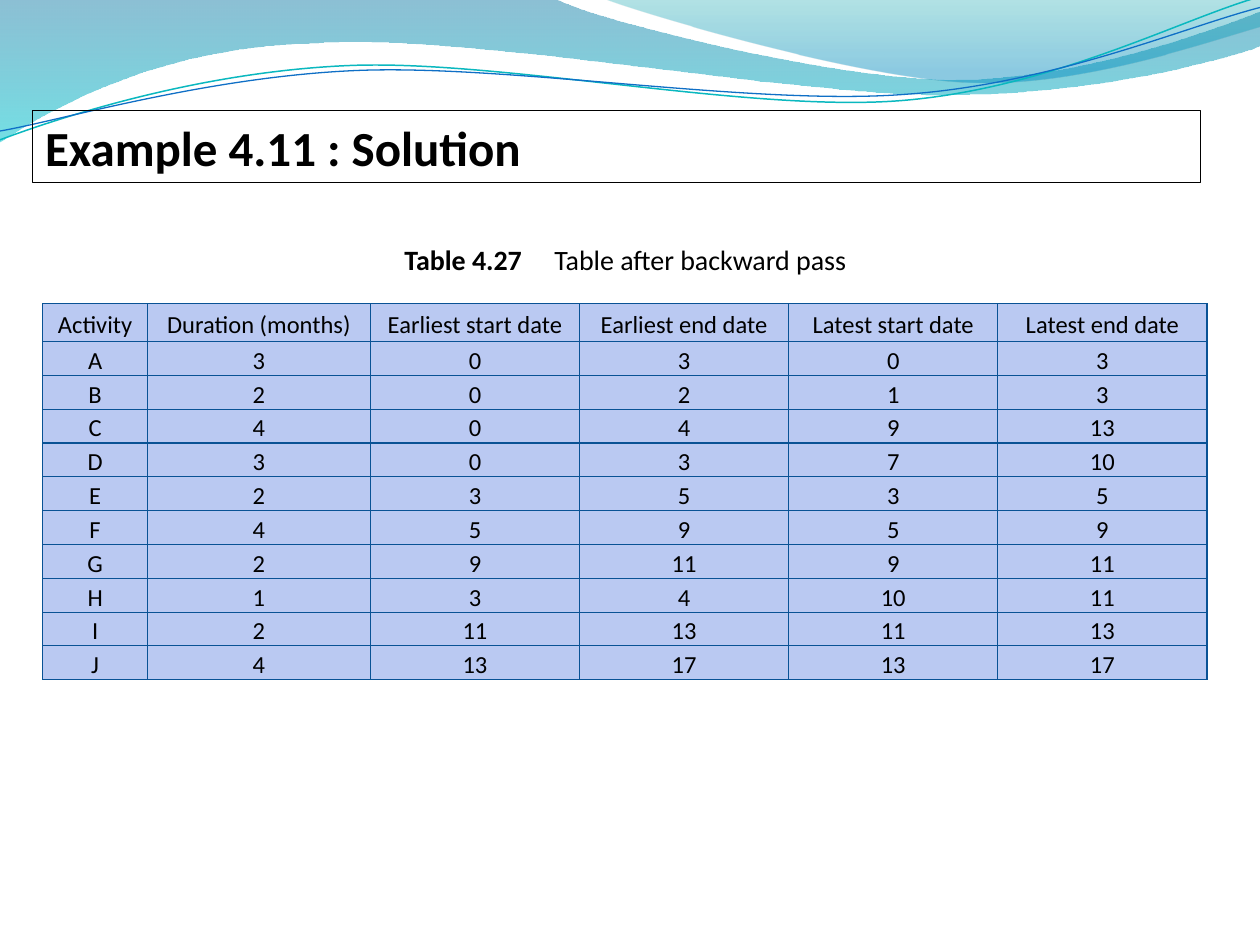
import math

from lxml import etree
from pptx import Presentation
from pptx import util as u
from pptx.dml.color import RGBColor
from pptx.enum import shapes, text
from pptx.oxml import ns

BLACK = RGBColor(0x00, 0x00, 0x00)
CELL_FILL = RGBColor(0xBA, 0xC9, 0xF2)
BORDER = RGBColor(0x09, 0x52, 0x95)
DEEP_BLUE = RGBColor(0x00, 0x74, 0xA1)
CYAN = RGBColor(0x00, 0xC6, 0xCF)
TEAL = RGBColor(0x00, 0xA1, 0xA9)
SKY = RGBColor(0x00, 0x8B, 0xBF)
TEAL_LINE = RGBColor(0x0A, 0xB8, 0xBF)
BLUE_LINE = RGBColor(0x0F, 0x6F, 0xC6)

FONT = "Calibri"
TILT = 357.3
COLUMNS = [0.83, 1.77] + [1.66] * 4
HEADER_HEIGHT, TABLE_HEIGHT = 0.3, 2.98
ROWS = [
    ("Activity", "Duration (months)", "Earliest start date",
     "Earliest end date", "Latest start date", "Latest end date"),
    ("A", 3, 0, 3, 0, 3),
    ("B", 2, 0, 2, 1, 3),
    ("C", 4, 0, 4, 9, 13),
    ("D", 3, 0, 3, 7, 10),
    ("E", 2, 3, 5, 3, 5),
    ("F", 4, 5, 9, 5, 9),
    ("G", 2, 9, 11, 9, 11),
    ("H", 1, 3, 4, 10, 11),
    ("I", 2, 11, 13, 11, 13),
    ("J", 4, 13, 17, 13, 17),
]

BAND = [[(0, 0)], [(4.4, -0.01)],
        [(4.76, 0.17), (6.64, 0.63), (7.58, 0.63)],
        [(8.53, 0.63), (9.58, 0.26), (10, 0.09)],
        [(10.01, 0.36)],
        [(9.83, 0.44), (8.7, 0.76), (7.46, 0.75)],
        [(6.22, 0.75), (3.82, 0.28), (2.57, 0.34)],
        [(1.29, 0.36), (0.46, 0.83), (-0.01, 1.13)],
        [(0, 0)]]
CORNER = [[(4.79, -0.01)],
          [(5.09, 0.11), (6.82, 0.62), (7.69, 0.65)],
          [(8.56, 0.69), (9.61, 0.32), (10, 0.21)],
          [(10, 0)], [(4.79, -0.01)]]
TEAL_CURVE = [[(0, 1.11)],
              [(0.48, 0.93), (1.58, 0.57), (2.77, 0.52)],
              [(3.95, 0.47), (5.93, 0.89), (7.13, 0.8)],
              [(8.33, 0.71), (9.38, 0.15), (9.98, -0.02)]]
BLUE_CURVE = [[(0, 1.04)],
              [(0.47, 0.96), (1.64, 0.61), (2.83, 0.56)],
              [(4.03, 0.51), (5.97, 0.84), (7.17, 0.75)],
              [(8.36, 0.67), (9.41, 0.21), (10, 0.06)]]


def apply_format(target, values):
    """Set each attribute named in values on target."""
    for name, value in values.items():
        setattr(target, name, value)


def add_outline(s, segments, close):
    """Add a freeform whose three-point segments are cubic curves, in inches."""
    points = [(u.Inches(x), u.Inches(y)) for segment in segments for x, y in segment]
    builder = s.shapes.build_freeform(*points[0], scale=1.0)
    builder.add_line_segments(points[1:], close=close)
    sp = builder.convert_to_shape()
    sp.shadow.inherit = False
    outline = next(sp._element.iter(ns.qn("a:path")))
    steps = iter(outline.findall(ns.qn("a:lnTo")))
    for segment in segments[1:]:
        step = next(steps)
        if len(segment) == 3:
            step.addprevious(curve := etree.Element(ns.qn("a:cubicBezTo")))
            for part in (step, next(steps), next(steps)):
                curve.append(part[0])
                outline.remove(part)
    return sp


def add_wave(s, segments, stops):
    """Add a closed wave with a downward translucent gradient."""
    sp = add_outline(s, segments, True)
    sp.line.fill.background()
    sp.fill.gradient()
    sp.fill.gradient_angle = 270
    for stop, (position, color, opacity) in zip(sp.fill.gradient_stops, stops):
        stop.position = position
        stop.color.rgb = color
    for clr, (position, color, opacity) in zip(sp._element.spPr.iter(ns.qn("a:srgbClr")), stops):
        etree.SubElement(clr, ns.qn("a:alpha"), val=str(opacity * 1000))


def level(segments, center):
    """Turn the segments about center so that the tilt restores them."""
    angle = math.radians(360 - TILT)
    cx, cy = center
    return [[(cx + (x - cx) * math.cos(angle) - (y - cy) * math.sin(angle),
              cy + (x - cx) * math.sin(angle) + (y - cy) * math.cos(angle))
             for x, y in segment] for segment in segments]


def add_curve(s, segments, center, color, width):
    """Add an open tilted curve."""
    sp = add_outline(s, level(segments, center), False)
    sp.rotation = TILT
    sp.fill.background()
    sp.line.color.rgb = color
    sp.line.width = u.Pt(width)


def add_run(p, content, size, bold=False):
    """Append a run of black text to a paragraph."""
    r = p.add_run()
    r.text = content
    apply_format(r.font, {"name": FONT, "size": u.Pt(size), "bold": bold})
    r.font.color.rgb = BLACK


def add_title(s, content):
    """Add the outlined title bar."""
    sp = s.shapes.add_shape(shapes.MSO_SHAPE.RECTANGLE, u.Inches(0.26), u.Inches(0.88),
                            u.Inches(9.27), u.Inches(0.57))
    sp.shadow.inherit = False
    sp.fill.background()
    sp.line.color.rgb = BLACK
    sp.line.width = u.Pt(0.75)
    tf = sp.text_frame
    apply_format(tf, {"word_wrap": True, "vertical_anchor": text.MSO_ANCHOR.TOP,
                      "auto_size": text.MSO_AUTO_SIZE.SHAPE_TO_FIT_TEXT})
    p = tf.paragraphs[0]
    p.alignment = text.PP_ALIGN.LEFT
    add_run(p, content, 28, True)


def add_caption(s, label, content):
    """Add the table caption with a tab between label and content."""
    sp = s.shapes.add_textbox(u.Inches(2.55), u.Inches(1.88), u.Inches(4.84), u.Inches(0.37))
    tf = sp.text_frame
    apply_format(tf, {"word_wrap": True, "margin_left": u.Inches(0.66),
                      "auto_size": text.MSO_AUTO_SIZE.SHAPE_TO_FIT_TEXT})
    p = tf.paragraphs[0]
    tabs = etree.SubElement(p._p.get_or_add_pPr(), ns.qn("a:tabLst"))
    etree.SubElement(tabs, ns.qn("a:tab"), pos=str(u.Inches(1.19)), algn="l")
    add_run(p, label + "\t", 16, True)
    add_run(p, content, 16)


def set_borders(cell):
    """Draw the four borders of a cell ahead of its fill element."""
    tcPr = cell._tc.get_or_add_tcPr()
    for i, side in enumerate(("lnL", "lnR", "lnT", "lnB")):
        ln = etree.Element(ns.qn("a:" + side), w=str(u.Pt(0.75)))
        fill = etree.SubElement(ln, ns.qn("a:solidFill"))
        etree.SubElement(fill, ns.qn("a:srgbClr"), val=str(BORDER))
        tcPr.insert(i, ln)


def fill_cell(cell, content):
    """Write and style one table cell."""
    apply_format(cell, {"margin_left": u.Inches(0.07), "margin_right": u.Inches(0.07),
                        "margin_top": 0, "margin_bottom": 0,
                        "vertical_anchor": text.MSO_ANCHOR.MIDDLE})
    cell.fill.solid()
    cell.fill.fore_color.rgb = CELL_FILL
    set_borders(cell)
    p = cell.text_frame.paragraphs[0]
    apply_format(p, {"alignment": text.PP_ALIGN.CENTER, "line_spacing": 1.15})
    add_run(p, str(content), 14)


def add_schedule(s):
    """Add the activity schedule table."""
    table = s.shapes.add_table(len(ROWS), len(COLUMNS), u.Inches(0.34), u.Inches(2.41),
                               u.Inches(sum(COLUMNS)), u.Inches(TABLE_HEIGHT)).table
    apply_format(table, {"first_row": False, "horz_banding": False})
    for column, width in zip(table.columns, COLUMNS):
        column.width = u.Inches(width)
    body_height = (TABLE_HEIGHT - HEADER_HEIGHT) / (len(ROWS) - 1)
    for i, (row, values) in enumerate(zip(table.rows, ROWS)):
        row.height = u.Inches(body_height if i else HEADER_HEIGHT)
        for cell, value in zip(row.cells, values):
            fill_cell(cell, value)


def main():
    """Build the slide and save it."""
    prs = Presentation()
    prs.slide_width, prs.slide_height = u.Inches(10), u.Inches(7.5)
    s = prs.slides.add_slide(prs.slide_layouts[6])
    add_wave(s, BAND, [(0, DEEP_BLUE, 45), (1, CYAN, 55)])
    add_wave(s, CORNER, [(0, TEAL, 30), (0.8, SKY, 45)])
    add_curve(s, TEAL_CURVE, (4.99, 0.57), TEAL_LINE, 0.85)
    add_curve(s, BLUE_CURVE, (5, 0.59), BLUE_LINE, 0.75)
    add_title(s, "Example 4.11 : Solution")
    add_schedule(s)
    add_caption(s, "Table 4.27", "Table after backward pass")
    prs.save("out.pptx")


if __name__ == "__main__":
    main()
